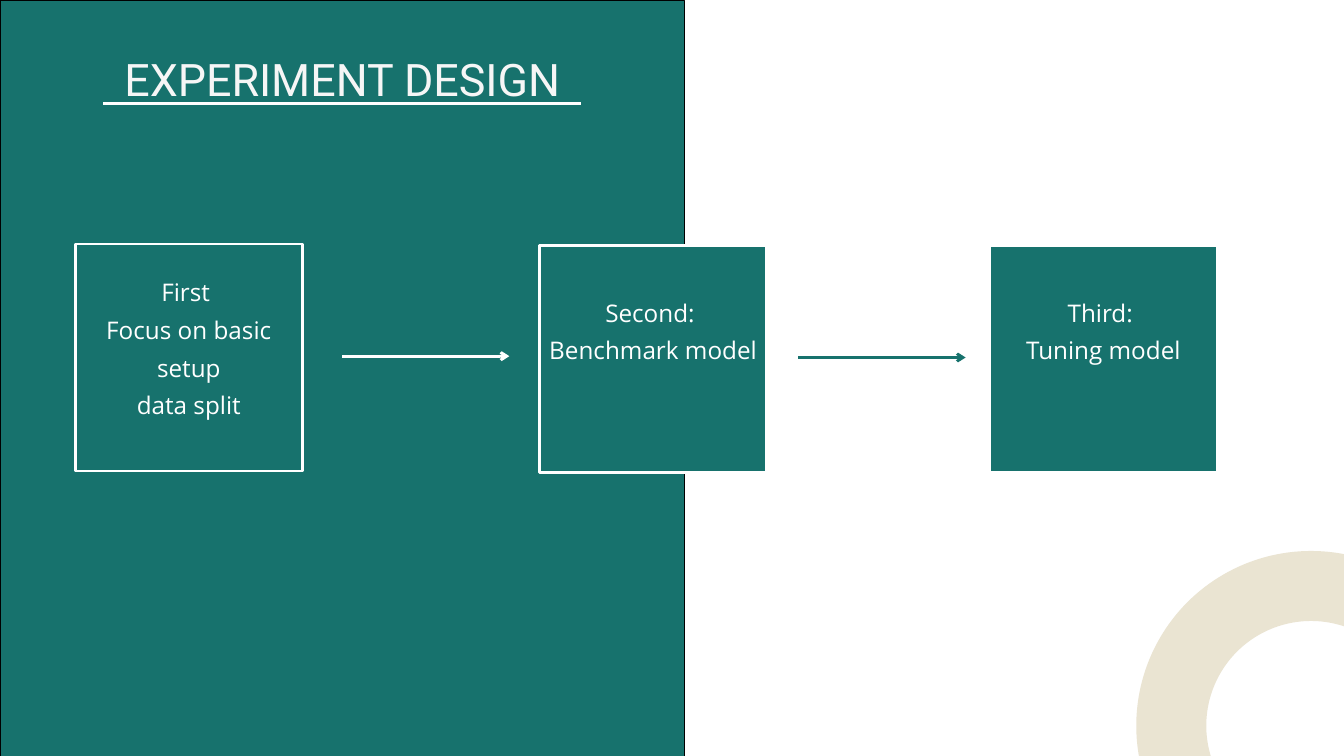
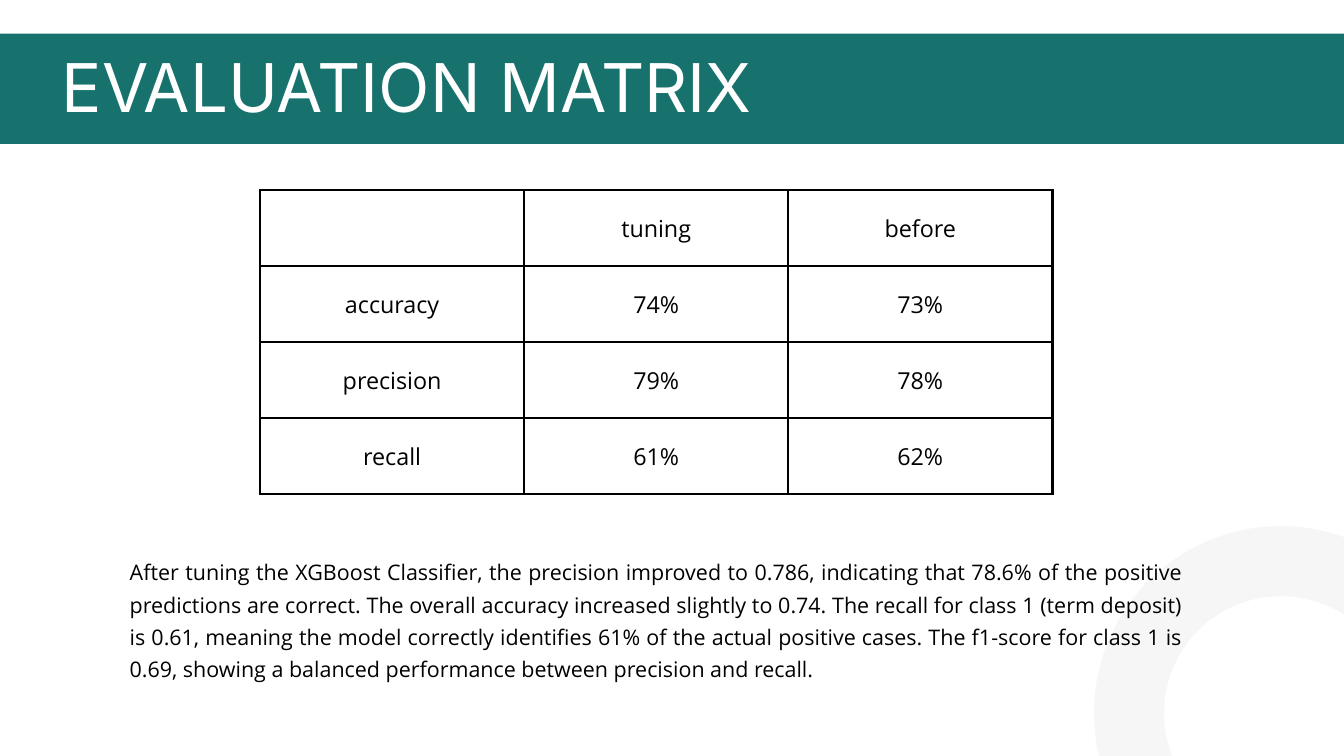
"""Build two slides: the experiment design flow and the evaluation matrix."""
from lxml import etree
from pptx import Presentation
from pptx.dml.color import RGBColor
from pptx.enum.shapes import MSO_CONNECTOR, MSO_SHAPE
from pptx.enum.text import MSO_ANCHOR, PP_ALIGN
from pptx.oxml.ns import qn
from pptx.util import Inches, Pt

RECTANGLE, OVAL = MSO_SHAPE.RECTANGLE, MSO_SHAPE.OVAL
STRAIGHT = MSO_CONNECTOR.STRAIGHT
MIDDLE = MSO_ANCHOR.MIDDLE
LEFT, CENTER, JUSTIFY = PP_ALIGN.LEFT, PP_ALIGN.CENTER, PP_ALIGN.JUSTIFY

TEAL, WHITE, BLACK, SAND, PALE = "17726D", "FFFFFF", "000000", "EAE4D2", "F6F6F6"
BODY_FONT = "Open Sans"
LINE_WIDTH = 3
RING_WIDTH = 75

DESIGN_TITLE = "EXPERIMENT DESIGN"
STEPS = [
    (1.12, 3.63, ["First ", "Focus on basic setup", "data split"]),
    (8.03, 3.65, ["Second: ", "Benchmark model"]),
    (14.73, 3.65, ["Third: ", "Tuning model"]),
]
STEP_SIDE = 3.38
STEP_LINE = 40.3
STEP_INSET = 0.06
STEP_LIFT = 0.39
STEP_ARROWS = [(5.09, 5.3, WHITE), (11.88, 5.32, TEAL)]
ARROW_LENGTH = 2.49

MATRIX_TITLE = "EVALUATION MATRIX"
MATRIX = [
    ("", "tuning", "before"),
    ("accuracy", "74%", "73%"),
    ("precision", "79%", "78%"),
    ("recall", "61%", "62%"),
]
COLUMN_WIDTH, ROW_HEIGHT, CELL_INSET = 3.93, 1.13, 0.21
CONCLUSION = (
    "After tuning the XGBoost Classifier, the precision improved to 0.786, indicating that "
    "78.6% of the positive predictions are correct. The overall accuracy increased slightly "
    "to 0.74. The recall for class 1 (term deposit) is 0.61, meaning the model correctly "
    "identifies 61% of the actual positive cases. The f1-score for class 1 is 0.69, showing "
    "a balanced performance between precision and recall."
)


def color(value):
    return RGBColor.from_string(value)


def add_block(slide, kind, left, top, width, height, fill=None, line=None, line_width=LINE_WIDTH):
    shape = slide.shapes.add_shape(kind, Inches(left), Inches(top), Inches(width), Inches(height))
    shape.shadow.inherit = False
    if fill:
        shape.fill.solid()
        shape.fill.fore_color.rgb = color(fill)
    else:
        shape.fill.background()
    if line:
        shape.line.color.rgb = color(line)
        shape.line.width = Pt(line_width)
    else:
        shape.line.fill.background()
    return shape


def add_ring(slide, left, top, size, line):
    add_block(slide, OVAL, left, top, size, size, line=line, line_width=RING_WIDTH)


def add_line(slide, left, right, top, line, arrow=False):
    connector = slide.shapes.add_connector(
        STRAIGHT, Inches(left), Inches(top), Inches(right), Inches(top))
    connector.line.color.rgb = color(line)
    connector.line.width = Pt(LINE_WIDTH)
    etree.SubElement(connector._element.spPr, qn("a:effectLst"))
    if arrow:
        etree.SubElement(connector.line._get_or_add_ln(), qn("a:tailEnd"), type="arrow")


def set_insets(target, inset):
    target.margin_left = target.margin_right = Inches(inset)
    target.margin_top = target.margin_bottom = Inches(inset)


def write(frame, lines, size, font, ink, spacing, align):
    frame.word_wrap = True
    for index, line in enumerate(lines):
        paragraph = frame.add_paragraph() if index else frame.paragraphs[0]
        paragraph.text = line
        paragraph.alignment = align
        paragraph.line_spacing = Pt(spacing)
        paragraph.font.size = Pt(size)
        paragraph.font.name = font
        paragraph.font.color.rgb = color(ink)


def add_text(slide, left, top, width, height, text, size, font, ink, spacing, align):
    box = slide.shapes.add_textbox(Inches(left), Inches(top), Inches(width), Inches(height))
    set_insets(box.text_frame, 0)
    write(box.text_frame, [text], size, font, ink, spacing, align)


def add_step(slide, left, top, lines):
    shape = add_block(slide, RECTANGLE, left, top, STEP_SIDE, STEP_SIDE, TEAL, WHITE)
    frame = shape.text_frame
    frame.vertical_anchor = MIDDLE
    set_insets(frame, STEP_INSET)
    most_lines = max(len(step_lines) for _, _, step_lines in STEPS)
    free_space = (most_lines - len(lines)) * STEP_LINE / 72
    frame.margin_bottom = Inches(STEP_INSET + STEP_LIFT + free_space)
    write(frame, lines, 26, BODY_FONT, WHITE, STEP_LINE, CENTER)


def add_borders(cell):
    properties = cell._tc.get_or_add_tcPr()
    for side in ("lnL", "lnR", "lnT", "lnB"):
        border = etree.SubElement(properties, qn(f"a:{side}"), w=str(Pt(LINE_WIDTH)))
        fill = etree.SubElement(border, qn("a:solidFill"))
        etree.SubElement(fill, qn("a:srgbClr"), val=BLACK)


def add_matrix(slide, left, top):
    row_count, column_count = len(MATRIX), len(MATRIX[0])
    table = slide.shapes.add_table(
        row_count, column_count, Inches(left), Inches(top),
        Inches(column_count * COLUMN_WIDTH), Inches(row_count * ROW_HEIGHT)).table
    table.first_row = table.horz_banding = False
    for row_index, row in enumerate(MATRIX):
        for column_index, text in enumerate(row):
            cell = table.cell(row_index, column_index)
            add_borders(cell)
            cell.fill.background()
            cell.vertical_anchor = MIDDLE
            set_insets(cell, CELL_INSET)
            write(cell.text_frame, [text], 25, BODY_FONT, BLACK, 35, CENTER)


def build_design(slide):
    add_block(slide, RECTANGLE, 0, 0, 10.18, 11.25, TEAL, BLACK, 0.75)
    add_ring(slide, 17.43, 8.72, 4.16, SAND)
    add_line(slide, 1.54, 8.64, 1.54, WHITE)
    add_text(slide, 1.59, 0.63, 7.01, 0.89, DESIGN_TITLE, 48, "Roboto", PALE, 67.2, CENTER)
    for left, top, lines in STEPS:
        add_step(slide, left, top, lines)
    for left, top, line in STEP_ARROWS:
        add_line(slide, left, left + ARROW_LENGTH, top, line, arrow=True)


def build_evaluation(slide):
    add_block(slide, RECTANGLE, 0, 0.5, 20, 1.64, TEAL)
    add_ring(slide, 16.8, 8.35, 4.52, PALE)
    add_matrix(slide, 3.87, 2.83)
    add_text(slide, 0.92, 0.83, 12.13, 1.09, MATRIX_TITLE, 72, "Inter", WHITE, 75.6, LEFT)
    add_text(slide, 1.93, 8.23, 15.69, 1.89, CONCLUSION, 23, BODY_FONT, BLACK, 34.5, JUSTIFY)


def main():
    presentation = Presentation()
    presentation.slide_width, presentation.slide_height = Inches(20), Inches(11.25)
    blank = presentation.slide_layouts[6]
    for build in (build_design, build_evaluation):
        build(presentation.slides.add_slide(blank))
    presentation.save("out.pptx")


if __name__ == "__main__":
    main()
